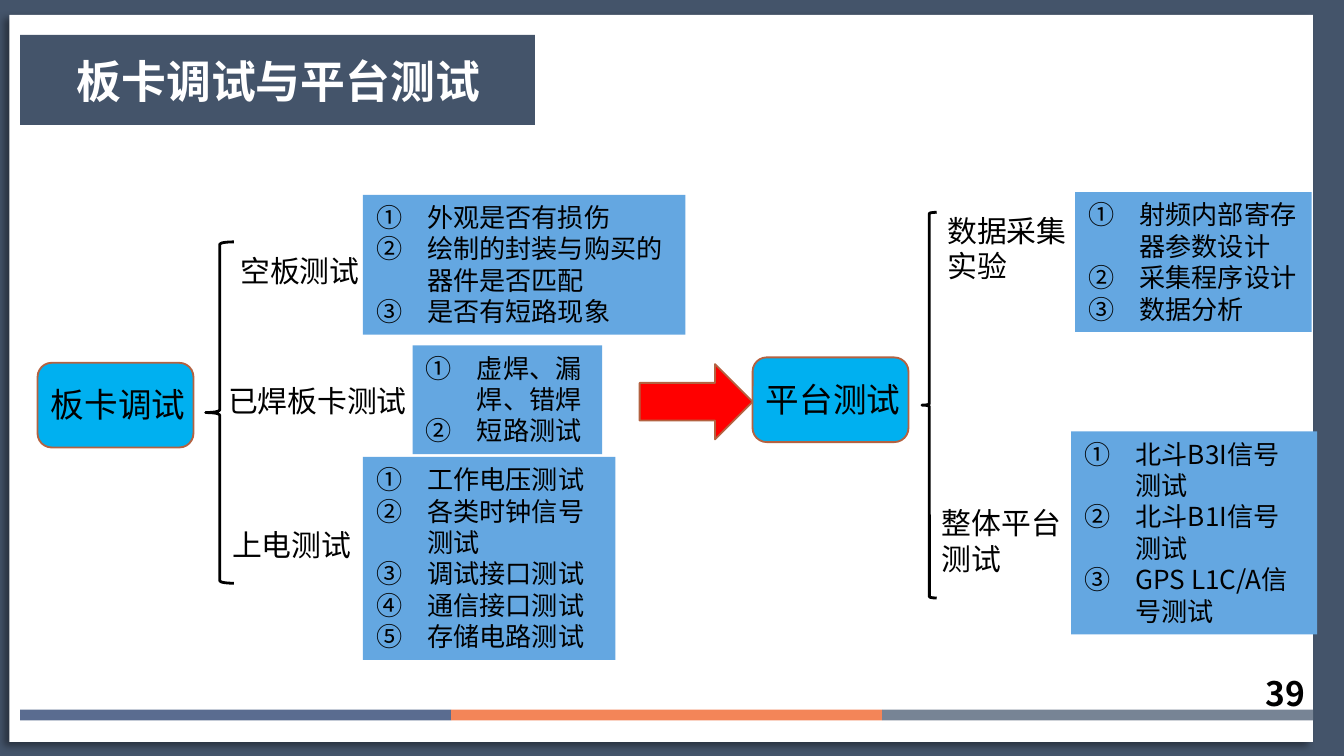
from dataclasses import dataclass

from lxml.etree import SubElement as Sub
from pptx import Presentation
from pptx.dml.color import RGBColor as RGB
from pptx.enum.shapes import MSO_SHAPE as Kind
from pptx.enum.text import MSO_ANCHOR as Anchor, MSO_AUTO_SIZE as Fit, PP_ALIGN as Align
from pptx.oxml.ns import qn
from pptx.util import Inches, Pt


@dataclass(frozen=True)
class Theme:
    font: str = "Noto Sans CJK SC"
    navy: str = "44546A"
    white: str = "FFFFFF"
    black: str = "000000"
    node: str = "00B0F0"
    edge: str = "B46241"
    card: str = "64A7E1"
    arrow: str = "FF0000"
    bars: tuple = ("5A6C90", "F38558", "778495")
    title: int = 24
    head: int = 18
    label: int = 16
    item: int = 14
    lead: float = 1.2


T = Theme()
WIDE = 10
HIGH = WIDE * 9 / 16


def place(box, part):
    return (box[0] + part[0], box[1] + part[1], *part[2:])


def draw(slide, kind, box, fill=None, line=None, width=1):
    shape = slide.shapes.add_shape(kind, *map(Inches, box))
    shape.shadow.inherit = False
    if fill:
        shape.fill.solid()
        shape.fill.fore_color.rgb = RGB.from_string(fill)
    else:
        shape.fill.background()
    if line:
        shape.line.color.rgb = RGB.from_string(line)
        shape.line.width = Pt(width)
    else:
        shape.line.fill.background()
    return shape


def write(shape, lines, size, color=T.black, bold=False, count=False):
    frame = shape.text_frame
    frame.text = "\n".join(lines)
    frame.word_wrap = True
    frame.auto_size = Fit.NONE
    frame.vertical_anchor = Anchor.TOP
    for para in frame.paragraphs:
        if count:
            props = para._p.get_or_add_pPr()
            props.set("marL", str(Inches(0.38)))
            props.set("indent", str(-Inches(0.38)))
            Sub(props, qn("a:buAutoNum"), type="circleNumDbPlain")
        para.alignment = Align.LEFT
        para.line_spacing = Pt(size * T.lead)
        for run in para.runs:
            font = run.font
            font.size = Pt(size)
            font.bold = bold
            font.color.rgb = RGB.from_string(color)
            font.name = T.font
            Sub(run._r.get_or_add_rPr(), qn("a:ea"), typeface=T.font)


def label(slide, box, text, size, bold=False):
    shape = slide.shapes.add_textbox(*map(Inches, box))
    write(shape, [text], size, bold=bold)


def shade(shape):
    effects = shape.element.spPr.find(qn("a:effectLst"))
    outer = Sub(effects, qn("a:outerShdw"), blurRad=str(Pt(4)), dist=str(Pt(3)),
                dir=str(135 * 60000), algn="tr", rotWithShape="0")
    color = Sub(outer, qn("a:srgbClr"), val=T.black)
    Sub(color, qn("a:alpha"), val="40000")


def frame(slide, box):
    draw(slide, Kind.RECTANGLE, box, T.navy)
    shade(draw(slide, Kind.RECTANGLE, place(box, (0.07, 0.11, 9.7, 5.41)), T.white))


def header(slide, box, text):
    draw(slide, Kind.RECTANGLE, box, T.navy)
    title = slide.shapes.title
    title.left, title.top, title.width, title.height = map(
        Inches, place(box, (0.32, 0.09, 3.75, 0.5)))
    write(title, [text], T.title, T.white, bold=True)
    title.element.getparent().append(title.element)


def footer(slide, box, number):
    left, top, width, height = box
    step = width / len(T.bars)
    for i, color in enumerate(T.bars):
        draw(slide, Kind.RECTANGLE, (left + i * step, top, step, height), color)
    label(slide, place(box, (9.17, -0.32, 0.54, 0.4)), number, T.head, bold=True)


def stage(slide, box, name, drop, brace, groups):
    draw(slide, Kind.ROUNDED_RECTANGLE, place(box, (0, drop, 1.16, 0.63)), T.node, T.edge)
    label(slide, place(box, (0, drop + 0.11, 1.31, 0.4)), name, T.head)
    draw(slide, Kind.LEFT_BRACE, place(box, brace), line=T.black, width=1.5)
    for text, spot, area, items in groups:
        label(slide, place(box, spot), text, T.label)
        card = draw(slide, Kind.RECTANGLE, place(box, area), T.card)
        write(card, items, T.item, count=True)


BOARD = [
    ("空板测试", (1.41, 0.38, 1.53, 0.37), (2.42, 0, 2.4, 1.04),
     ["外观是否有损伤", "绘制的封装与购买的器件是否匹配", "是否有短路现象"]),
    ("已焊板卡测试", (1.32, 1.35, 2.03, 0.37), (2.79, 1.12, 1.41, 0.81),
     ["虚焊、漏焊、错焊", "短路测试"]),
    ("上电测试", (1.35, 2.42, 2, 0.37), (2.42, 1.95, 1.88, 1.51),
     ["工作电压测试", "各类时钟信号测试", "调试接口测试", "通信接口测试", "存储电路测试"]),
]
SYSTEM = [
    ("数据采集实验", (1.35, 0.1, 1.14, 0.64), (2.4, 0, 1.76, 1.04),
     ["射频内部寄存器参数设计", "采集程序设计", "数据分析"]),
    ("整体平台测试", (1.31, 2.28, 1.14, 0.63), (2.37, 1.78, 1.83, 1.51),
     ["北斗B3I信号测试", "北斗B1I信号测试", "GPS L1C/A信号测试"]),
]


def main():
    deck = Presentation()
    deck.slide_width, deck.slide_height = Inches(WIDE), Inches(HIGH)
    slide = deck.slides.add_slide(deck.slide_layouts[5])
    frame(slide, (0, 0, WIDE, HIGH))
    header(slide, (0.15, 0.26, 3.83, 0.67), "板卡调试与平台测试")
    stage(slide, (0.28, 1.45), "板卡调试", 1.25, (1.25, 0.35, 0.21, 2.54), BOARD)
    stage(slide, (5.6, 1.43), "平台测试", 1.23, (1.26, 0.15, 0.11, 2.87), SYSTEM)
    draw(slide, Kind.RIGHT_ARROW, (4.76, 2.71, 0.84, 0.56), T.arrow, T.edge)
    footer(slide, (0.15, 5.28, 9.62, 0.08), "39")
    deck.save("out.pptx")


if __name__ == "__main__":
    main()
